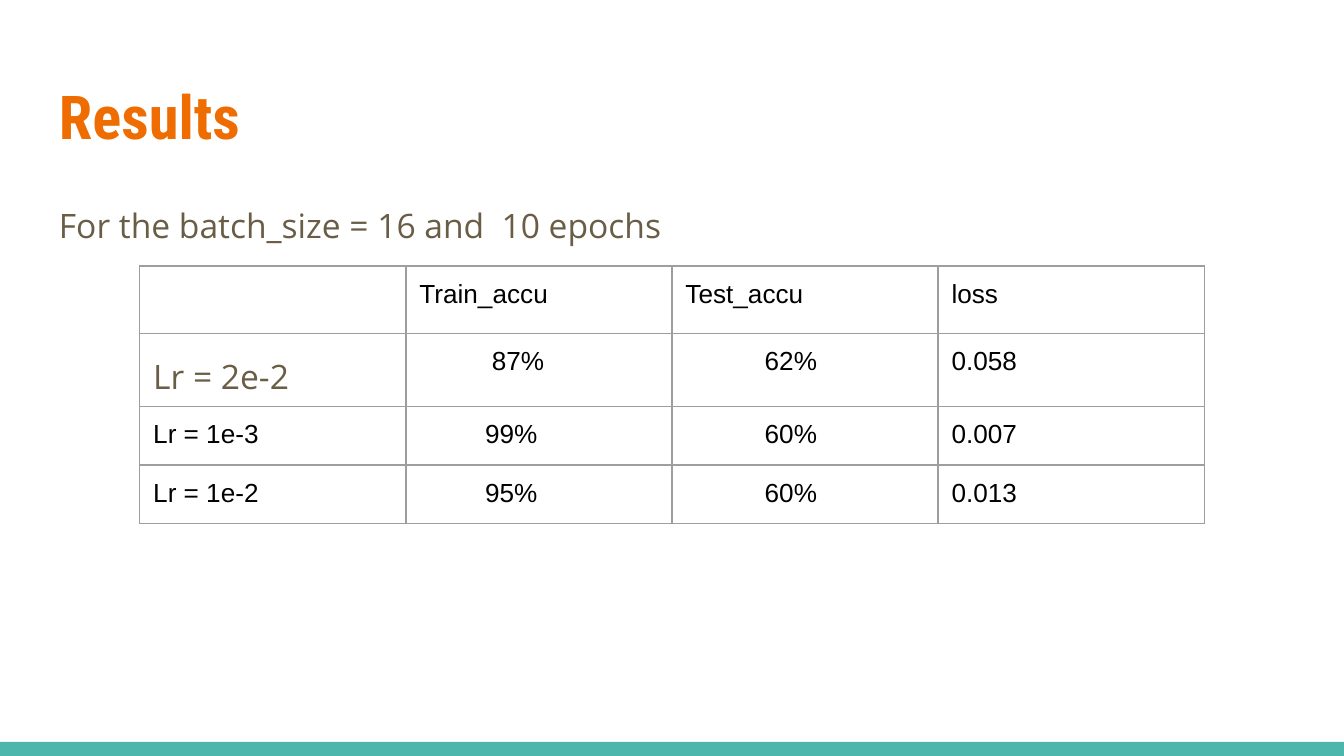
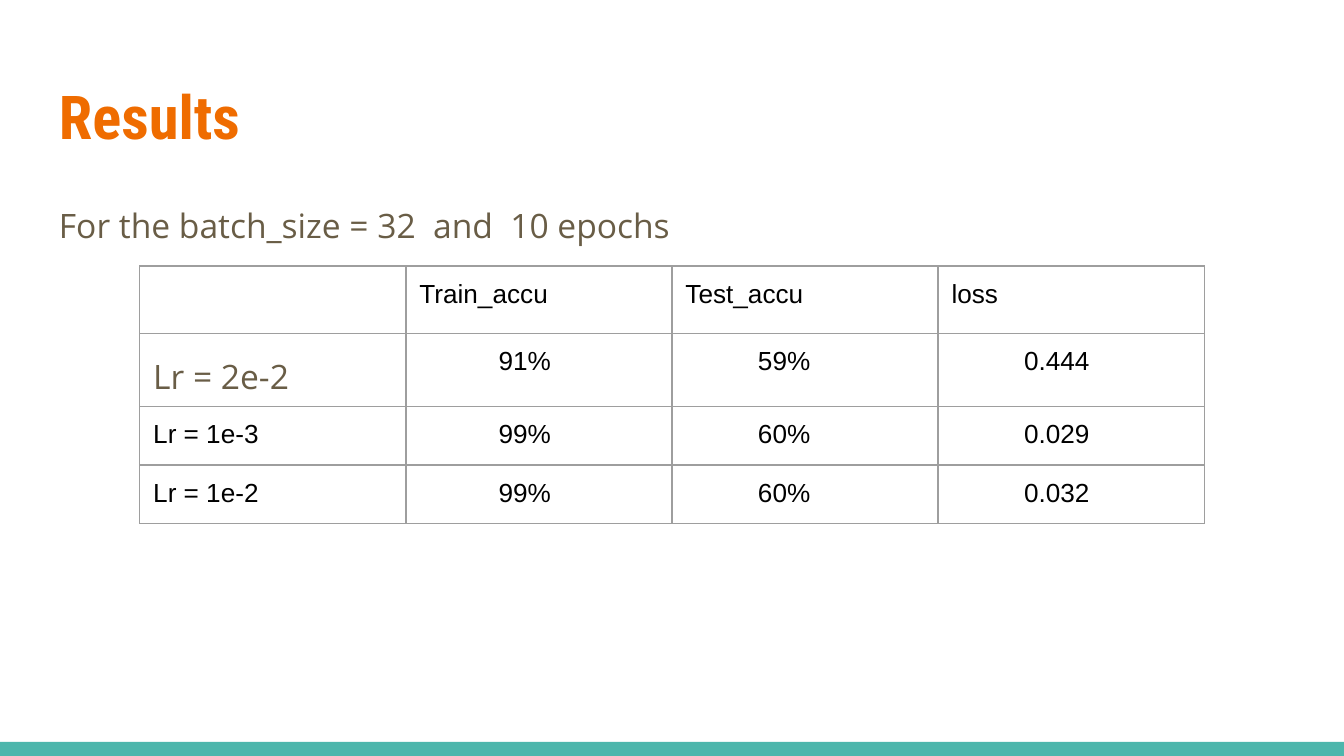
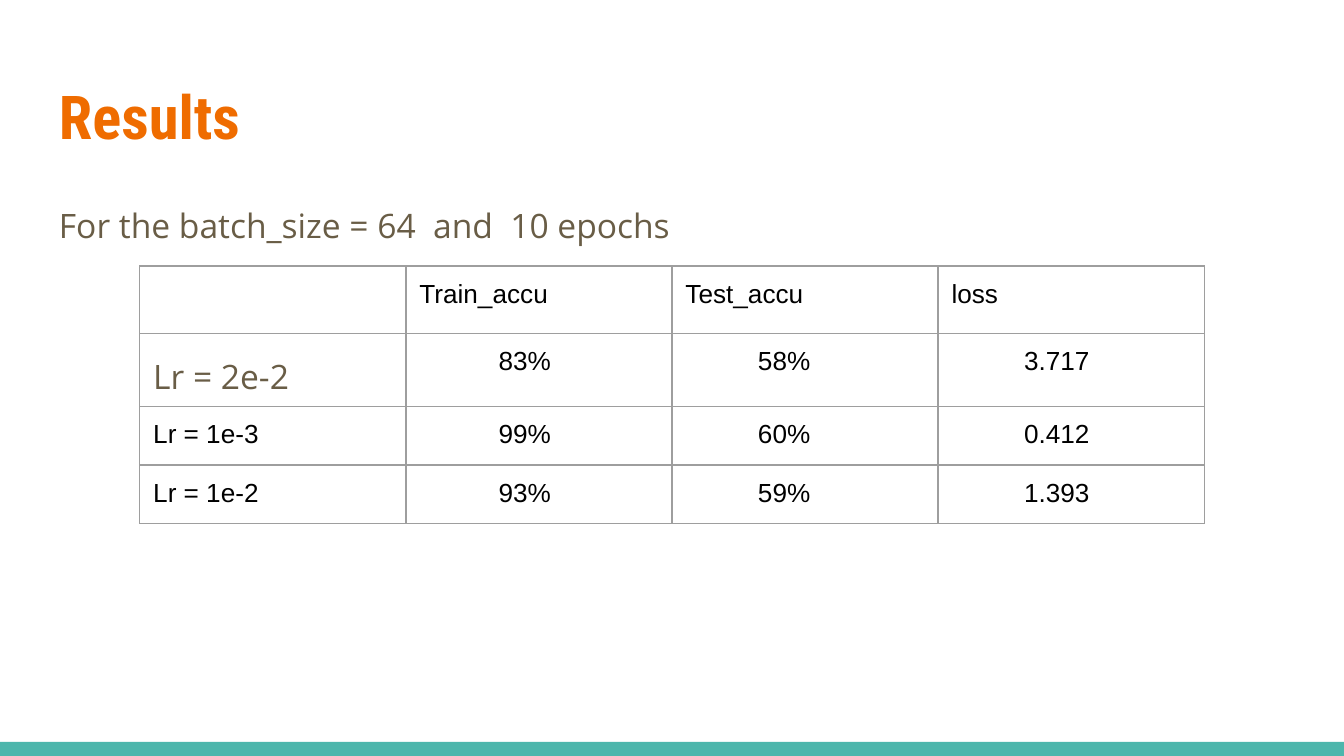
from collections import namedtuple
from dataclasses import dataclass

from lxml.etree import SubElement
from pptx import Presentation
from pptx.dml.color import RGBColor
from pptx.enum.shapes import MSO_SHAPE as Shape
from pptx.oxml.ns import qn
from pptx.util import Inches, Pt

Box = namedtuple("Box", "left top width height")
Style = namedtuple("Style", "font size color bold", defaults=[False])


@dataclass(frozen=True)
class Theme:
    """Colours, type styles and insets shared by all slides."""

    paper: str = "FFFFFF"
    band: str = "4DB6AC"
    grid: str = "9E9E9E"
    grid_width: float = 0.75
    inset: float = 0.1
    title: Style = Style("Roboto Condensed", 32.4, "EF6C00", True)
    body: Style = Style("Open Sans", 18, "695D46")
    cell: Style = Style("Arial", 14, "000000")
    blank: Style = Style("Arial", 18, "000000")
    body_spacing: float = 1.15


THEME = Theme()
PAGE = Box(0, 0, 10, 10 * 9 / 16)
BAND = Box(0, 5.52, 10, 0.11)
TITLE = Box(0.34, 0.49, 9.32, 0.77)
BODY = Box(0.34, 1.38, 9.32, 3.61)
TABLE = Box(1.04, 1.98, 7.92, 1.68)
HEADINGS = ("", "Train_accu", "Test_accu", "loss")
RATES = ("Lr = 2e-2", "Lr = 1e-3", "Lr = 1e-2")
EVEN_INDENTS = ((0, 0.59, 0.54, 0.54),) * 3

RESULTS = (
    ("For the batch_size = 16 and  10 epochs",
     (("87%", "62%", "0.058"), ("99%", "60%", "0.007"), ("95%", "60%", "0.013")),
     ((0, 0.54, 0.59, 0), (0, 0.49, 0.59, 0), (0, 0.49, 0.59, 0))),
    ("For the batch_size = 32  and  10 epochs",
     (("91%", "59%", "0.444"), ("99%", "60%", "0.029"), ("99%", "60%", "0.032")),
     EVEN_INDENTS),
    ("For the batch_size = 64  and  10 epochs",
     (("83%", "58%", "3.717"), ("99%", "60%", "0.412"), ("93%", "59%", "1.393")),
     EVEN_INDENTS),
)


def place(box):
    """Return the box as four lengths."""
    return [Inches(length) for length in box]


def write(para, text, style):
    """Add one styled run to a paragraph."""
    span = para.add_run()
    span.text = text
    span.font.name = style.font
    span.font.size = Pt(style.size)
    span.font.bold = style.bold
    span.font.color.rgb = RGBColor.from_string(style.color)


def size_blank(para, style):
    """Give an empty paragraph its line height."""
    ending = SubElement(para._p, qn("a:endParaRPr"), sz=str(style.size * 100))
    SubElement(ending, qn("a:latin"), typeface=style.font)


def set_insets(holder, indent=0):
    """Give a text frame or cell the shared insets plus a left indent."""
    holder.margin_left = Inches(THEME.inset + indent)
    holder.margin_right = holder.margin_top = holder.margin_bottom = Inches(THEME.inset)


def add_text(page, box, text, style, spacing=None):
    """Place one line of text in a wrapped box."""
    frame = page.shapes.add_textbox(*place(box)).text_frame
    frame.word_wrap = True
    set_insets(frame)
    para = frame.paragraphs[0]
    para.line_spacing = spacing
    write(para, text, style)


def add_band(page, box):
    """Draw the coloured band along the foot of the page."""
    band = page.shapes.add_shape(Shape.RECTANGLE, *place(box))
    band.shadow.inherit = False
    band.fill.solid()
    band.fill.fore_color.rgb = RGBColor.from_string(THEME.band)
    band.line.fill.background()


def add_borders(cell):
    """Rule all four sides of a cell."""
    properties = cell._tc.get_or_add_tcPr()
    for side in ("lnL", "lnR", "lnT", "lnB"):
        line = SubElement(properties, qn(f"a:{side}"), w=str(Pt(THEME.grid_width)))
        fill = SubElement(line, qn("a:solidFill"))
        SubElement(fill, qn("a:srgbClr"), val=THEME.grid)


def fill_cell(cell, text, style, indent):
    """Style one table cell and write its text."""
    add_borders(cell)
    cell.fill.background()
    set_insets(cell, indent)
    para = cell.text_frame.paragraphs[0]
    if style is THEME.body:
        para.line_spacing = THEME.body_spacing
        para.space_after = Pt(12)
    if text:
        write(para, text, style)
    else:
        size_blank(para, THEME.blank)


def add_scores(page, box, scores, indents):
    """Build the table of scores by learning rate."""
    rows = [HEADINGS] + [(rate, *values) for rate, values in zip(RATES, scores)]
    shifts = [(0,) * len(HEADINGS), *indents]
    table = page.shapes.add_table(len(rows), len(HEADINGS), *place(box)).table
    table.first_row = table.horz_banding = False
    for row, texts in enumerate(rows):
        for column, text in enumerate(texts):
            style = THEME.body if text == RATES[0] else THEME.cell
            fill_cell(table.cell(row, column), text, style, shifts[row][column])


def add_results_page(deck, caption, scores, indents):
    """Add one results slide."""
    page = deck.slides.add_slide(deck.slide_layouts[6])
    page.background.fill.solid()
    page.background.fill.fore_color.rgb = RGBColor.from_string(THEME.paper)
    add_band(page, BAND)
    add_text(page, TITLE, "Results", THEME.title)
    add_text(page, BODY, caption, THEME.body, THEME.body_spacing)
    add_scores(page, TABLE, scores, indents)


def main():
    """Build and save the deck."""
    deck = Presentation()
    deck.slide_width, deck.slide_height = Inches(PAGE.width), Inches(PAGE.height)
    for caption, scores, indents in RESULTS:
        add_results_page(deck, caption, scores, indents)
    deck.save("out.pptx")


if __name__ == "__main__":
    main()
